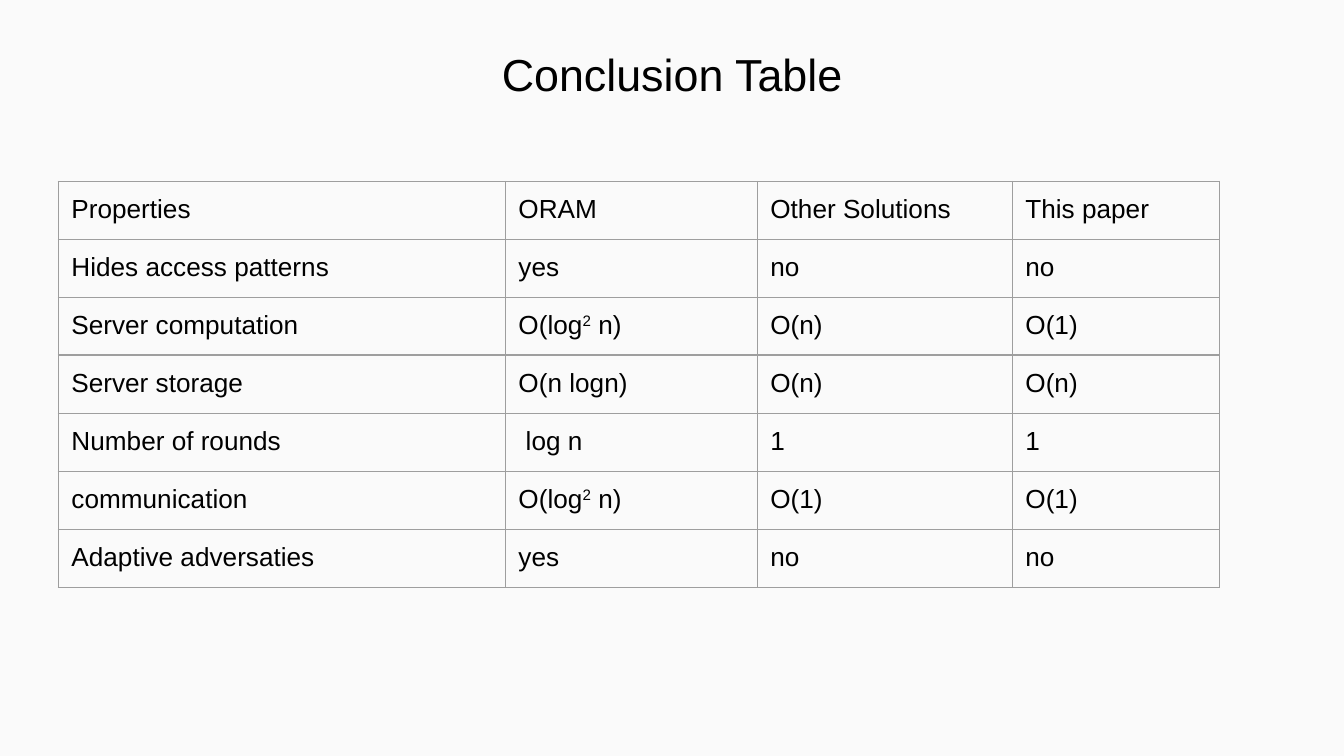
from lxml import etree
from pptx import Presentation
from pptx import util as u
from pptx.dml.color import RGBColor
from pptx.enum import text
from pptx.oxml import ns

TITLE = "Conclusion Table"
# Text between two ^ marks is raised.
ROWS = [
    ("Properties", "ORAM", "Other Solutions", "This paper"),
    ("Hides access patterns", "yes", "no", "no"),
    ("Server computation", "O(log^2^ n)", "O(n)", "O(1)"),
    ("Server storage", "O(n logn)", "O(n)", "O(n)"),
    ("Number of rounds", " log n", "1", "1"),
    ("communication", "O(log^2^ n)", "O(1)", "O(1)"),
    ("Adaptive adversaties", "yes", "no", "no"),
]
WIDTHS = [8.45, 4.76, 4.82, 3.92]
HEIGHTS = [1.06, 1.06, 1.06, 1.1, 1.1, 1.1, 1.06]
LEFT, TOP = 1.1, 3.43
PAD = u.Cm(0.25)
INSETS = dict.fromkeys(
    ("margin_left", "margin_right", "margin_top", "margin_bottom"), PAD)
PAPER, INK, RULE = "FAFAFA", "000000", "9E9E9E"


def color(code):
    return RGBColor.from_string(code)


def apply(item, values):
    for name, value in values.items():
        setattr(item, name, value)


def write(para, words, size):
    """Fill a paragraph, raising every second part of the marked text."""
    for i, part in enumerate(words.split("^")):
        run = para.add_run()
        run.text = part
        apply(run.font, {"name": "Arial", "size": u.Pt(size)})
        run.font.color.rgb = color(INK)
        if i % 2:
            run.font._element.set("baseline", "30000")


def border(cell):
    props = cell._tc.get_or_add_tcPr()
    for i, side in enumerate(("lnL", "lnR", "lnT", "lnB")):
        line = etree.Element(ns.qn("a:" + side), w=str(u.Pt(0.75)))
        fill = etree.SubElement(line, ns.qn("a:solidFill"))
        etree.SubElement(fill, ns.qn("a:srgbClr"), val=RULE)
        props.insert(i, line)


deck = Presentation()
apply(deck, {"slide_width": u.Cm(25.4), "slide_height": u.Cm(14.29)})
slide = deck.slides.add_slide(deck.slide_layouts[6])
slide.background.fill.solid()
slide.background.fill.fore_color.rgb = color(PAPER)

box = slide.shapes.add_textbox(u.Cm(4.34), u.Cm(0.64), u.Cm(16.72), u.Cm(1.17))
frame = box.text_frame
apply(frame, {**INSETS, "word_wrap": True,
              "vertical_anchor": text.MSO_ANCHOR.TOP})
frame.paragraphs[0].alignment = text.PP_ALIGN.CENTER
write(frame.paragraphs[0], TITLE, 24)

table = slide.shapes.add_table(
    len(ROWS), len(WIDTHS), u.Cm(LEFT), u.Cm(TOP),
    u.Cm(sum(WIDTHS)), u.Cm(sum(HEIGHTS))).table
apply(table, {"first_row": False, "horz_banding": False})
for col, width in zip(table.columns, WIDTHS):
    col.width = u.Cm(width)
for row, height, words in zip(table.rows, HEIGHTS, ROWS):
    row.height = u.Cm(height)
    for cell, entry in zip(row.cells, words):
        apply(cell, INSETS)
        cell.fill.background()
        border(cell)
        write(cell.text_frame.paragraphs[0], entry, 14)

deck.save("out.pptx")
